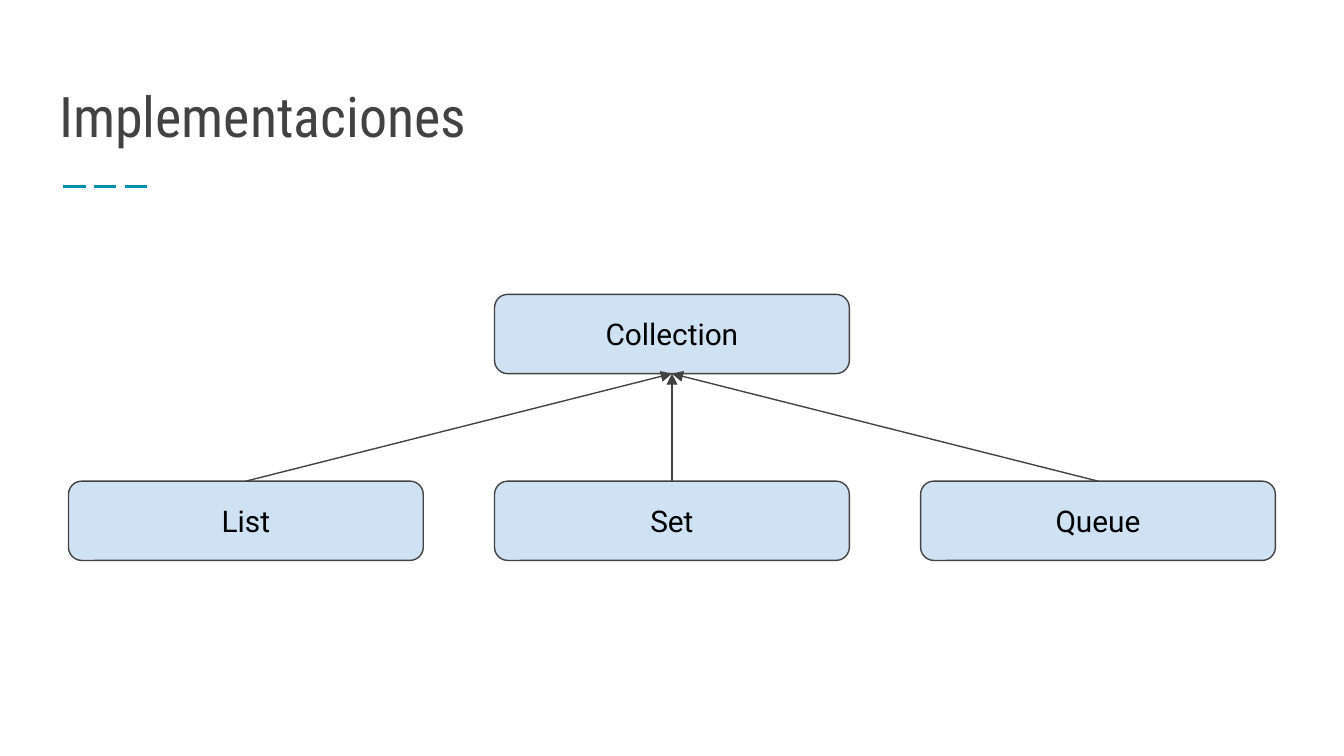
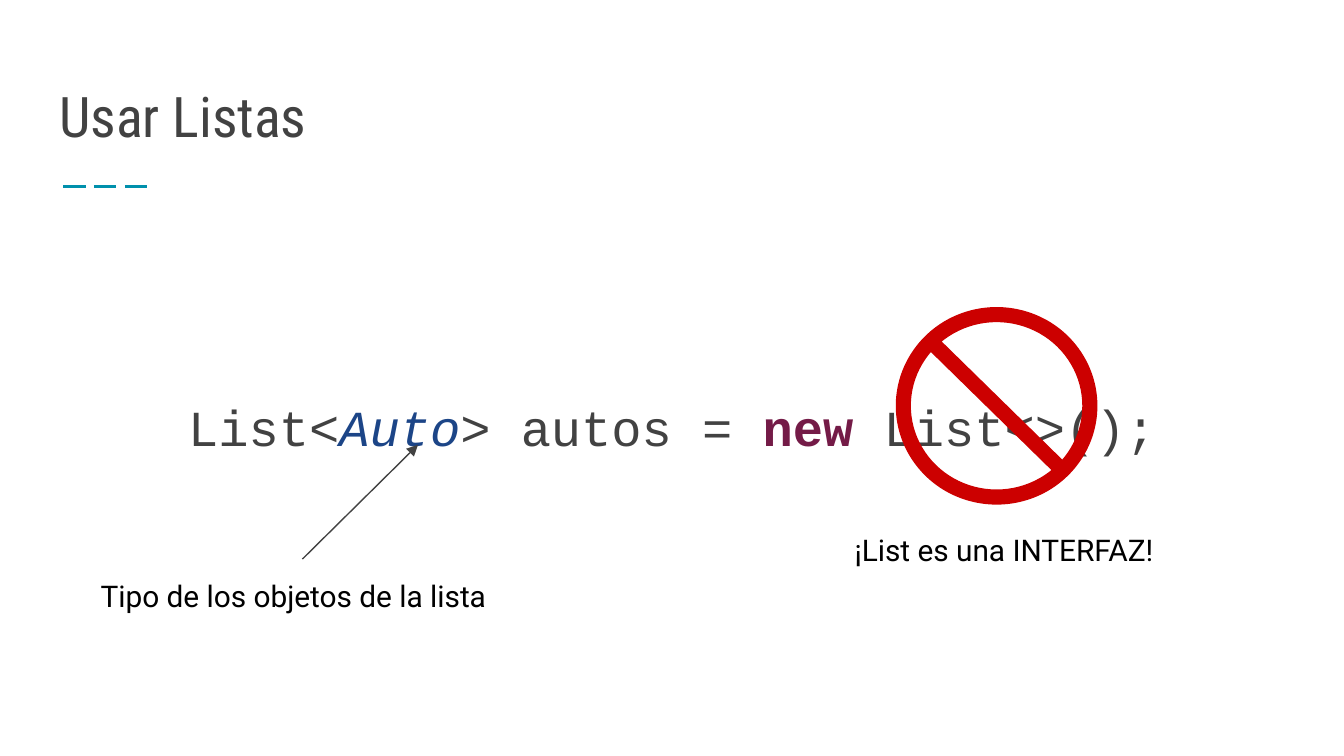
from dataclasses import dataclass

from lxml import etree
from pptx import Presentation
from pptx import util as u
from pptx.dml import color as clr
from pptx.enum import dml, shapes, text
from pptx.oxml import ns


@dataclass(frozen=True)
class Theme:
    paper: str = "FFFFFF"
    ink: str = "424242"
    black: str = "000000"
    accent: str = "0090AC"
    box: str = "CFE2F3"
    type_name: str = "1C4587"
    keyword: str = "741B47"
    forbidden: str = "CC0000"
    title_font: str = "Roboto Condensed"
    text_font: str = "Roboto"
    code_font: str = "Courier New"
    title_size: float = 30
    code_size: float = 27
    text_size: float = 16
    thin: float = 0.75
    rule: float = 1.5


@dataclass(frozen=True)
class Box:
    left: float
    top: float
    width: float
    height: float

    def lengths(self) -> list[u.Length]:
        return [u.Inches(v) for v in (self.left, self.top, self.width, self.height)]


@dataclass(frozen=True)
class CodePart:
    content: str
    color: str
    bold: bool = False
    italic: bool = False


@dataclass(frozen=True)
class Note:
    content: str
    left: float
    top: float


THEME = Theme()
TITLE_BOX = Box(0.34, 0.41, 9.32, 0.8)
CODE_BOX = Box(0.34, 1.44, 9.32, 3.39)
NODE_WIDTH, NODE_HEIGHT = 2.64, 0.59
NODE_LEFT, NODE_STEP = 0.51, 3.17
PARENT_TOP, CHILD_TOP = 2.19, 3.58
NOTE_WIDTH, NOTE_HEIGHT = 6.52, 0.76
CHILDREN = ("List", "Set", "Queue")
CODE = (
    CodePart("List<", THEME.ink),
    CodePart("Auto", THEME.type_name, italic=True),
    CodePart("> autos = ", THEME.ink),
    CodePart("new ", THEME.keyword, bold=True),
    CodePart("List<>();", THEME.ink),
)
NOTES = (
    Note("Tipo de los objetos de la lista", 0.65, 4.2),
    Note("¡List es una INTERFAZ!", 6.26, 3.86),
)


def rgb(value: str) -> clr.RGBColor:
    return clr.RGBColor.from_string(value)


def style_run(r, font: str, size: float, color: str) -> None:
    r.font.name = font
    r.font.size = u.Pt(size)
    r.font.color.rgb = rgb(color)


def set_frame(tf, anchor) -> None:
    tf.word_wrap = True
    tf.auto_size = text.MSO_AUTO_SIZE.NONE
    tf.vertical_anchor = anchor
    tf.margin_left = tf.margin_right = u.Inches(0.1)
    tf.margin_top = tf.margin_bottom = u.Inches(0.1)


def write(tf, content: str, font: str, size: float, color: str, align, anchor) -> None:
    set_frame(tf, anchor)
    tf.text = content
    p = tf.paragraphs[0]
    p.alignment = align
    style_run(p.runs[0], font, size, color)


def place(sp, box: Box) -> None:
    sp.left, sp.top, sp.width, sp.height = box.lengths()


def add_line(s, start: tuple[float, float], end: tuple[float, float],
             color: str = THEME.ink, width: float = THEME.thin):
    line = s.shapes.add_connector(
        shapes.MSO_CONNECTOR.STRAIGHT, *(u.Inches(v) for v in (*start, *end)))
    line.line.color.rgb = rgb(color)
    line.line.width = u.Pt(width)
    etree.SubElement(line._element.spPr, ns.qn("a:effectLst"))
    return line


def add_arrow(s, start: tuple[float, float], end: tuple[float, float]):
    arrow = add_line(s, start, end)
    etree.SubElement(arrow.line._get_or_add_ln(), ns.qn("a:tailEnd"), type="triangle")
    return arrow


def add_preset(s, kind, box: Box, adjustment: float, fill: str, line: str):
    sp = s.shapes.add_shape(kind, *box.lengths())
    sp.adjustments[0] = adjustment
    sp.shadow.inherit = False
    sp.fill.solid()
    sp.fill.fore_color.rgb = rgb(fill)
    sp.line.color.rgb = rgb(line)
    sp.line.width = u.Pt(THEME.thin)
    return sp


def add_node(s, label: str, column: int, top: float):
    box = Box(NODE_LEFT + column * NODE_STEP, top, NODE_WIDTH, NODE_HEIGHT)
    sp = add_preset(s, shapes.MSO_SHAPE.ROUNDED_RECTANGLE, box, 0.167,
                    THEME.box, THEME.ink)
    write(sp.text_frame, label, THEME.text_font, THEME.text_size, THEME.black,
          text.PP_ALIGN.CENTER, text.MSO_ANCHOR.MIDDLE)
    return sp


def add_titled_slide(prs, layout: int, title: str):
    s = prs.slides.add_slide(prs.slide_layouts[layout])
    s.background.fill.solid()
    s.background.fill.fore_color.rgb = rgb(THEME.paper)
    place(s.shapes.title, TITLE_BOX)
    write(s.shapes.title.text_frame, title, THEME.title_font, THEME.title_size,
          THEME.ink, text.PP_ALIGN.LEFT, text.MSO_ANCHOR.BOTTOM)
    rule = add_line(s, (0.47, 1.39), (1.14, 1.39), THEME.accent, THEME.rule)
    rule.line.dash_style = dml.MSO_LINE.LONG_DASH
    return s


def write_code(sp) -> None:
    place(sp, CODE_BOX)
    set_frame(sp.text_frame, text.MSO_ANCHOR.MIDDLE)
    p = sp.text_frame.paragraphs[0]
    p.alignment = text.PP_ALIGN.CENTER
    p.line_spacing = 1.15
    p.space_before = u.Pt(0)
    p.space_after = u.Pt(10)
    pPr = p._p.get_or_add_pPr()
    pPr.set("marL", "0")
    pPr.set("indent", "0")
    etree.SubElement(pPr, ns.qn("a:buNone"))
    for part in CODE:
        r = p.add_run()
        r.text = part.content
        style_run(r, THEME.code_font, THEME.code_size, part.color)
        r.font.bold = part.bold
        r.font.italic = part.italic


def add_note(s, note: Note) -> None:
    box = Box(note.left, note.top, NOTE_WIDTH, NOTE_HEIGHT)
    sp = s.shapes.add_textbox(*box.lengths())
    write(sp.text_frame, note.content, THEME.text_font, THEME.text_size,
          THEME.black, text.PP_ALIGN.LEFT, text.MSO_ANCHOR.TOP)


def build_hierarchy(prs) -> None:
    s = add_titled_slide(prs, 5, "Implementaciones")
    parent = add_node(s, "Collection", 1, PARENT_TOP)
    nodes = [add_node(s, label, i, CHILD_TOP) for i, label in enumerate(CHILDREN)]
    for node in nodes:
        arrow = add_arrow(s, (0, 0), (1, 1))
        arrow.begin_connect(node, 0)
        arrow.end_connect(parent, 2)


def build_list_usage(prs) -> None:
    s = add_titled_slide(prs, 1, "Usar Listas")
    write_code(s.placeholders[1])
    add_arrow(s, (2.25, 4.16), (3.11, 3.31))
    type_note, interface_note = NOTES
    add_note(s, type_note)
    add_preset(s, shapes.MSO_SHAPE.NO_SYMBOL, Box(6.67, 2.29, 1.49, 1.46), 0.07,
               THEME.forbidden, THEME.forbidden)
    add_note(s, interface_note)


def main() -> None:
    prs = Presentation()
    prs.slide_width = u.Inches(10)
    prs.slide_height = u.Inches(10 * 9 / 16)
    build_hierarchy(prs)
    build_list_usage(prs)
    prs.save("out.pptx")


if __name__ == "__main__":
    main()
